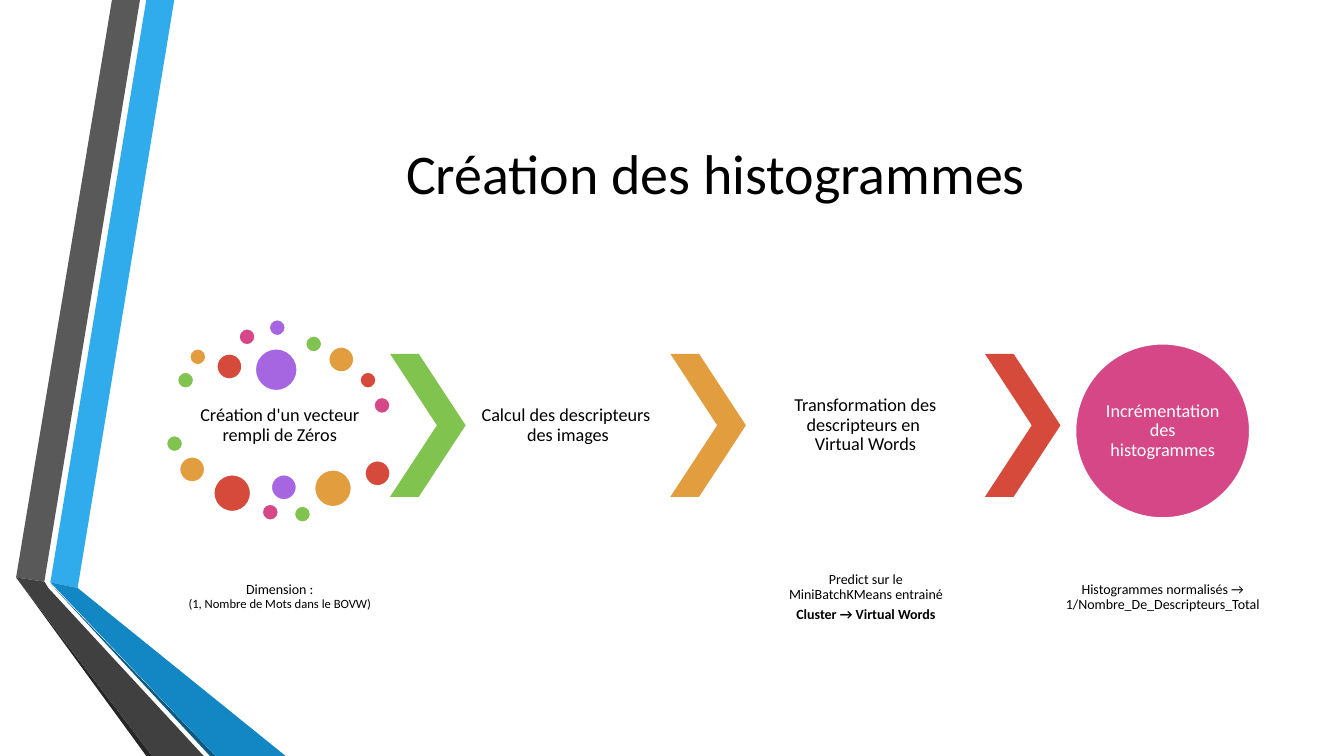
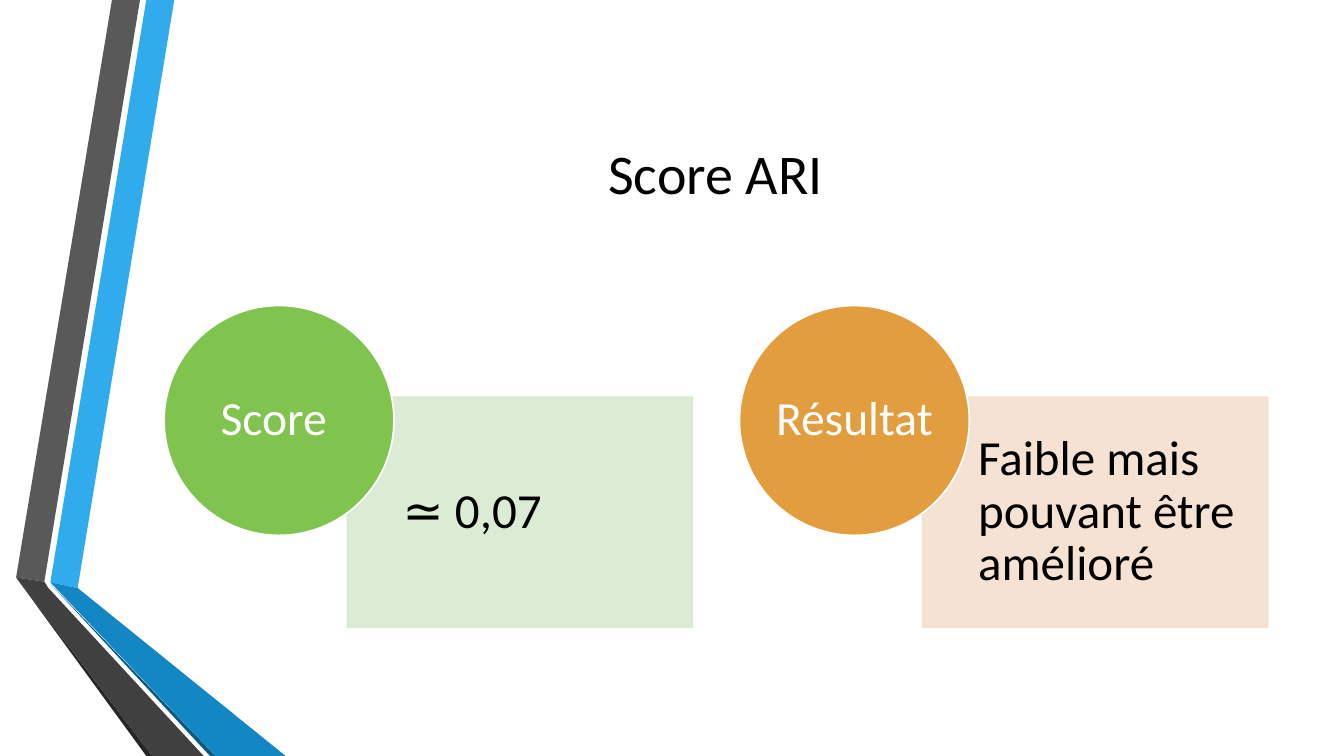
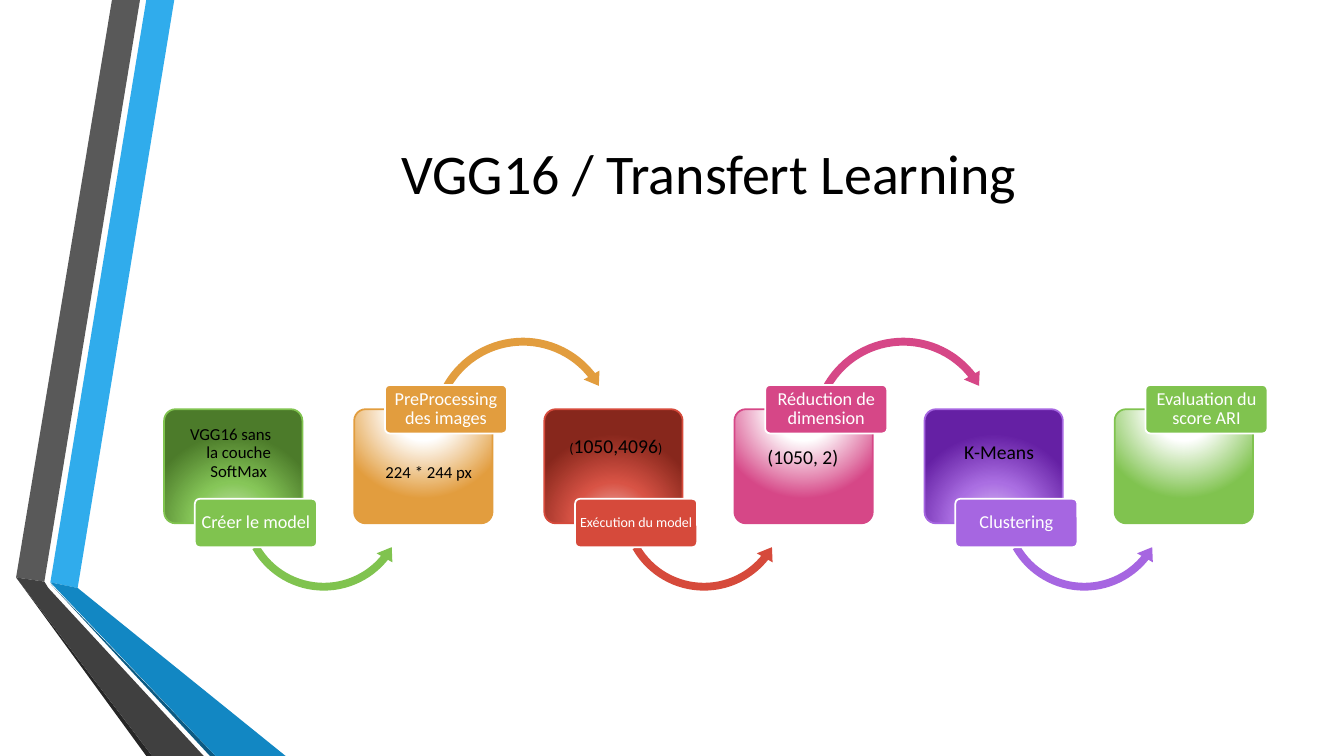
from dataclasses import dataclass

import lxml.etree
import pptx
import pptx.dml.color
import pptx.enum.shapes
import pptx.enum.text
import pptx.oxml
import pptx.oxml.ns
import pptx.util

Pt = pptx.util.Pt
qn = pptx.oxml.ns.qn
SHAPE = pptx.enum.shapes.MSO_SHAPE
ALIGN = pptx.enum.text.PP_ALIGN
ANCHOR = pptx.enum.text.MSO_ANCHOR


@dataclass(frozen=True)
class Theme:
    font: str = "Calibri"
    black: str = "000000"
    white: str = "FFFFFF"
    green: str = "80C34F"
    orange: str = "E29D3E"
    red: str = "D64A3B"
    pink: str = "D64787"
    purple: str = "A666E1"
    pale_green: str = "D8E9D0"
    pale_orange: str = "F4DFCE"
    title: int = 40
    panel: int = 35
    disc: int = 34
    value: int = 14
    body: int = 13
    detail: int = 12
    note: int = 10
    small: int = 9
    outline: float = 1.25

    def accents(self):
        return [self.green, self.orange, self.red, self.pink, self.purple]


THEME = Theme()

# Ribbon on the left edge: colour and corner points
RIBBON = [
    ("30ACEC", [(36, 416), (55.5, 420), (124.5, 0), (104.5, 0)]),
    ("595959", [(100, 0), (80, 0), (11.5, 412.5), (31.7, 415.5)]),
    ("262626", [(11.5, 412.5), (104.5, 540), (108.7, 540)]),
    ("0C5A82", [(36, 417), (150, 540), (154, 540)]),
    ("1287C3", [(36, 416), (154, 540), (204, 540), (55.5, 420)]),
    ("404040", [(145.5, 540), (34.5, 420), (31.7, 415.5), (11.5, 412.5), (108.7, 540)]),
]

# Dots around the first step: left, top, diameter
SMALL, MEDIUM, LARGE, HUGE = 11.8, 18.2, 26.6, 30.2
DOTS = [
    (126.7, 265.7, SMALL), (135.4, 249, SMALL), (154.8, 252.7, MEDIUM),
    (170.6, 234.7, SMALL), (192.2, 228.2, SMALL), (218.2, 239.8, SMALL),
    (234.7, 247.7, MEDIUM), (257, 265.7, SMALL), (267, 283.7, SMALL),
    (182.2, 249, HUGE), (118.8, 311, SMALL), (128.2, 326.2, MEDIUM),
    (152.6, 339, LARGE), (187.2, 360, SMALL), (193.7, 339, MEDIUM),
    (210.2, 361.4, SMALL), (224.6, 335.5, LARGE), (260.6, 329, MEDIUM),
]


def rgb(color):
    return pptx.dml.color.RGBColor.from_string(color)


# ---- Text ----
def write(box, paragraphs, size=THEME.body, color=THEME.black, align=ALIGN.CENTER,
          anchor=ANCHOR.MIDDLE, insets=(0, 0, 0, 0), spacing=0.9, after=0, indent=None):
    """Paragraphs hold a string or a list of (text, overrides); newlines break lines."""
    frame = box.text_frame
    frame.word_wrap = True
    frame.vertical_anchor = anchor
    (frame.margin_left, frame.margin_top,
     frame.margin_right, frame.margin_bottom) = [Pt(inset) for inset in insets]
    for number, content in enumerate(paragraphs):
        para = frame.add_paragraph() if number else frame.paragraphs[0]
        if indent:
            props = para._p.get_or_add_pPr()
            props.set("marL", str(Pt(indent[0])))
            props.set("indent", str(Pt(indent[1])))
        para.alignment = align
        para.line_spacing = spacing
        if number < len(paragraphs) - 1:
            para.space_after = Pt(after)
        for text, look in ([(content, {})] if isinstance(content, str) else content):
            span_size = look.get("size", size)
            for row, line in enumerate(text.split("\n")):
                if row:
                    para.add_line_break()
                    lxml.etree.SubElement(para._p.findall(qn("a:br"))[-1], qn("a:rPr"),
                                          sz=str(span_size * 100))
                if line:
                    span = para.add_run()
                    span.text = line
                    span.font.name = THEME.font
                    span.font.size = Pt(span_size)
                    span.font.bold = look.get("bold", False)
                    span.font.color.rgb = rgb(color)


def add_text(page, area, *paragraphs, **look):
    box = page.shapes.add_textbox(*[Pt(length) for length in area])
    write(box, paragraphs, **look)


# ---- Shapes ----
def paint(shape, fill, line=None, opacity=None):
    shape.shadow.inherit = False
    shape.fill.solid()
    shape.fill.fore_color.rgb = rgb(fill)
    if line:
        shape.line.color.rgb = rgb(line)
        shape.line.width = Pt(THEME.outline)
    else:
        shape.line.fill.background()
    if opacity:
        for color in shape.element.spPr.iter(qn("a:srgbClr")):
            lxml.etree.SubElement(color, qn("a:alpha"), val=str(opacity * 1000))


def add_shape(page, kind, area, fill, line=None, opacity=None, adjust=()):
    shape = page.shapes.add_shape(kind, *[Pt(length) for length in area])
    paint(shape, fill, line, opacity)
    for number, value in enumerate(adjust):
        shape.adjustments[number] = value
    return shape


def add_disc(page, left, top, size, fill):
    return add_shape(page, SHAPE.OVAL, (left, top, size, size), fill, THEME.white)


def glow(shape, stops, top, bottom):
    """Replace the solid fill by a circular gradient; focus given in percent."""
    marks = "".join(f'<a:gs pos="{place * 1000}"><a:srgbClr val="{color}"/></a:gs>'
                    for place, color in stops)
    gradient = pptx.oxml.parse_xml(
        f'<a:gradFill {pptx.oxml.ns.nsdecls("a")} rotWithShape="1"><a:gsLst>{marks}</a:gsLst>'
        f'<a:path path="circle"><a:fillToRect l="50000" t="{top * 1000}" r="50000" '
        f'b="{bottom * 1000}"/></a:path></a:gradFill>')
    props = shape.element.spPr
    props.replace(props.find(qn("a:solidFill")), gradient)


# ---- Shared parts ----
def add_ribbon(layout, page):
    """Draw the ribbon once and place it in the layout."""
    for number, (color, points) in enumerate(RIBBON):
        corners = [(Pt(x), Pt(y)) for x, y in points]
        builder = page.shapes.build_freeform(*corners[0])
        builder.add_line_segments(corners[1:], close=True)
        piece = builder.convert_to_shape()
        paint(piece, color)
        layout.shapes.element.insert(2 + number, piece.element)


def add_page(deck, title):
    page = deck.slides.add_slide(deck.slide_layouts[5])
    box = page.shapes.title
    box.left, box.top, box.width, box.height = Pt(116.6), Pt(54), Pt(789), Pt(138.2)
    write(box, [title], size=THEME.title, insets=(7.2, 3.6, 7.2, 3.6), spacing=1.0)
    return page


# ---- Slide contents ----
def fill_histograms(page):
    add_text(page, (126.7, 280, 146.2, 48.2), "Création d'un vecteur rempli de Zéros")
    add_text(page, (126.7, 381.6, 146.2, 90),
             [("Dimension :\n", {}),
              ("(1, Nombre de Mots dans le BOVW)", {"size": THEME.small})], size=THEME.note)
    accents = THEME.accents()
    for number, (left, top, size) in enumerate(DOTS):
        add_disc(page, left, top, size, accents[number % len(accents)])

    for left, color in zip((278.6, 478.8, 703.5), accents):
        add_shape(page, SHAPE.CHEVRON, (left, 252.7, 54, 102.2), color, adjust=[0.62])

    add_text(page, (332.6, 252.7, 146.2, 102.2), "Calcul des descripteurs \ndes images")
    add_text(page, (545, 252.7, 146.2, 102.2),
             "Transformation des descripteurs en \nVirtual Words")
    add_text(page, (532.8, 358.6, 171.4, 136), "Predict sur le\nMiniBatchKMeans entrainé",
             [("Cluster → Virtual Words", {"bold": True})], size=THEME.note, after=3.5)
    disc = add_disc(page, 768.2, 245.5, 124.6, THEME.pink)
    write(disc, ["Incrémentation des histogrammes"], color=THEME.white)
    add_text(page, (757.4, 381.6, 146.2, 90),
             "Histogrammes normalisés →\n1/Nombre_De_Descripteurs_Total", size=THEME.note)


def fill_score(page):
    cards = [("Score ", "≃ 0,07", THEME.green, THEME.pale_green),
             ("Résultat", "Faible mais pouvant être amélioré", THEME.orange, THEME.pale_orange)]
    for number, (label, message, color, pale) in enumerate(cards):
        left = 117.2 + 411 * number
        panel = add_shape(page, SHAPE.RECTANGLE, (left + 131, 283.7, 246.4, 164.2),
                          pale, pale, opacity=90)
        write(panel, [message], size=THEME.panel, align=ALIGN.LEFT,
              insets=(39.5, 19.4, 19.4, 19.4))
        disc = add_disc(page, left, 218.2, 164.2, color)
        write(disc, [label], size=THEME.disc, color=THEME.white)


def fill_transfer(page):
    # Label, label size, colour, dark stops, message, message size, downward shift, indent
    hanging, shifted = (8.6, -8.6), (8.6, 0)
    steps = [
        ("Créer le model", THEME.body, THEME.green, ("CCE7B9", "86C658", "4C7B2A"),
         "VGG16 sans \nla couche SoftMax", THEME.detail, 0, hanging),
        ("PreProcessing des images", THEME.body, THEME.orange, None,
         "224 * 244 px", THEME.detail, 13, shifted),
        ("Exécution du model", THEME.note, THEME.red, ("EFB7B1", "D85345", "87271C"),
         [("(", {"size": THEME.note}), ("1050,4096", {}), (")", {"size": THEME.note})],
         THEME.value, 10, (4.3, 0)),
        ("Réduction de dimension", THEME.body, THEME.pink, None,
         "(1050, 2)", THEME.value, 0, hanging),
        ("Clustering", THEME.body, THEME.purple, ("DBC2F3", "AA6EE2", "6520A4"),
         "K-Means", THEME.value, 14, shifted),
        ("Evaluation du score ARI", THEME.body, THEME.green, None, None, None, 0, None),
    ]
    for number, (label, label_size, color, dark, message, size, shift, indent) in enumerate(steps):
        left = 117.2 + 135.8 * number
        card = add_shape(page, SHAPE.ROUNDED_RECTANGLE, (left, 292.3, 98.8, 81.5),
                         color, color, adjust=[0.1])
        if dark:
            glow(card, zip((0, 46, 100), dark), 130, -30)
            text_top, label_top = 294.5, 356.3
            kind, arrow_top, arrow_size = SHAPE.LEFT_CIRCULAR_ARROW, 301, 124.6
            arc = [0.045, 5.667, 23.422, 90.245, 0.052]
        else:
            glow(card, [(0, THEME.white), (35, THEME.white), (100, color)], -80, 180)
            text_top, label_top = 311.8, 275
            kind, arrow_top, arrow_size = SHAPE.CIRCULAR_ARROW, 237.6, 137.5
            arc = [0.041, 5.098, 193.147, 125.755, 0.047]
        if message:
            add_text(page, (left + 1.8, text_top + shift, 94.3, 60), message, size=size,
                     anchor=ANCHOR.TOP, insets=(10, 10, 10, 10), indent=indent)
        if number < len(steps) - 1:
            add_shape(page, kind, (left + 51.8, arrow_top, arrow_size, arrow_size),
                      color, adjust=arc)
        tag = add_shape(page, SHAPE.ROUNDED_RECTANGLE, (left + 22, label_top, 87.2, 34.6),
                        color, THEME.white, adjust=[0.1])
        write(tag, [label], size=label_size, color=THEME.white, insets=(1, 1, 1, 1))


def main():
    deck = pptx.Presentation()
    deck.slide_width, deck.slide_height = Pt(960), Pt(540)
    contents = [("Création des histogrammes", fill_histograms),
                ("Score ARI", fill_score),
                ("VGG16 / Transfert Learning ", fill_transfer)]
    for title, fill in contents:
        fill(add_page(deck, title))
    add_ribbon(deck.slide_layouts[5], deck.slides[0])
    deck.save("out.pptx")


if __name__ == "__main__":
    main()
